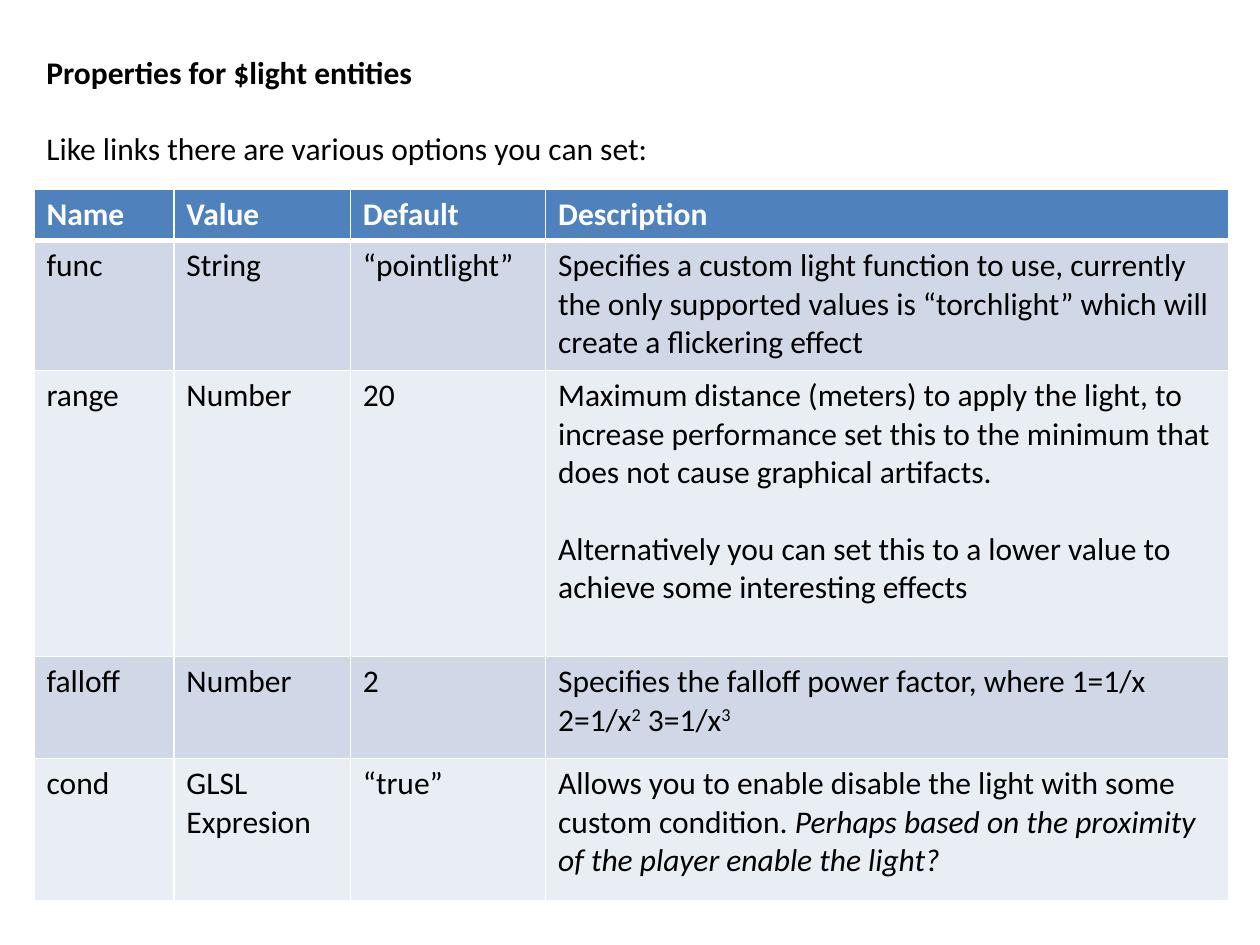
from lxml import etree
from pptx import Presentation
from pptx.dml.color import RGBColor
from pptx.oxml.ns import qn
from pptx.util import Inches, Pt

FONT, SIZE, LINE = "Calibri", 18, 22
BLACK, WHITE = "000000", "FFFFFF"
HEADER, BANDS = "4F81BD", ("D0D8E8", "E9EDF4")

# Content: a paragraph is a list of (text, style) runs
INTRO = [
    [("Properties for $light entities", "bold")],
    [("Like links there are various options you can set:", "")],
]
COLUMNS = [("Name", 1.11), ("Value", 1.4), ("Default", 1.55), ("Description", 5.42)]
ROWS = [
    ("func", "String", "“pointlight”", [
        [("Specifies a custom light function to use, currently the only supported "
          "values is “torchlight” which will create a flickering effect", "")]]),
    ("range", "Number", "20", [
        [("Maximum distance (meters) to apply the light, to increase performance set "
          "this to the minimum that does not cause graphical artifacts.", "")],
        [("Alternatively you can set this to a lower value to achieve some "
          "interesting effects", "")]]),
    ("falloff", "Number", "2", [
        [("Specifies the falloff power factor, where 1=1/x 2=1/x", ""), ("2", "super"),
         (" 3=1/x", ""), ("3", "super")]]),
    ("cond", "GLSL Expresion", "“true”", [
        [("Allows you to enable disable the light with some custom condition. ", ""),
         ("Perhaps based on the proximity of the player enable the light?", "italic")]]),
]
HEIGHTS = [0.41, 1.03, 2.27, 0.81, 1.13]


def rgb(color):
    return RGBColor.from_string(color)


def write(tf, paragraphs, color=BLACK):
    """Fill a text frame, leaving one line of space between paragraphs."""
    for i, runs in enumerate(paragraphs):
        p = tf.add_paragraph() if i else tf.paragraphs[0]
        p.space_before = Pt(LINE if i else 0)
        for text, style in runs:
            r = p.add_run()
            r.text = text
            r.font.name, r.font.size = FONT, Pt(SIZE)
            r.font.color.rgb = rgb(color)
            r.font.bold = style == "bold"
            r.font.italic = style == "italic"
            if style == "super":
                r._r.get_or_add_rPr().set("baseline", "30000")


def set_borders(cell, top, bottom):
    tcPr = cell._tc.get_or_add_tcPr()
    for side, width in (("L", 1), ("R", 1), ("T", top), ("B", bottom)):
        ln = etree.SubElement(tcPr, qn(f"a:ln{side}"), w=str(Pt(width)))
        fill = etree.SubElement(ln, qn("a:solidFill"))
        etree.SubElement(fill, qn("a:srgbClr"), val=WHITE)


prs = Presentation()
prs.slide_width, prs.slide_height = Inches(10), Inches(7.5)
s = prs.slides.add_slide(prs.slide_layouts[6])

# Heading and introduction
box = s.shapes.add_textbox(Inches(0.27), Inches(0.37), Inches(9.48), Inches(1.62))
box.text_frame.word_wrap = True
write(box.text_frame, INTRO)

# Property table
header = [[[(name, "bold")]] for name, _ in COLUMNS]
body = [[[[(text, "")]] for text in plain] + [description]
        for *plain, description in ROWS]
table = s.shapes.add_table(len(HEIGHTS), len(COLUMNS), Inches(0.27), Inches(1.5),
                           Inches(9.48), Inches(sum(HEIGHTS))).table
for column, (_, width) in zip(table.columns, COLUMNS):
    column.width = Inches(width)
for i, (height, cells) in enumerate(zip(HEIGHTS, [header] + body)):
    table.rows[i].height = Inches(height)
    for j, paragraphs in enumerate(cells):
        cell = table.cell(i, j)
        set_borders(cell, top=3 if i == 1 else 1, bottom=3 if i == 0 else 1)
        cell.fill.solid()
        cell.fill.fore_color.rgb = rgb(BANDS[(i - 1) % 2] if i else HEADER)
        write(cell.text_frame, paragraphs, BLACK if i else WHITE)

prs.save("out.pptx")
